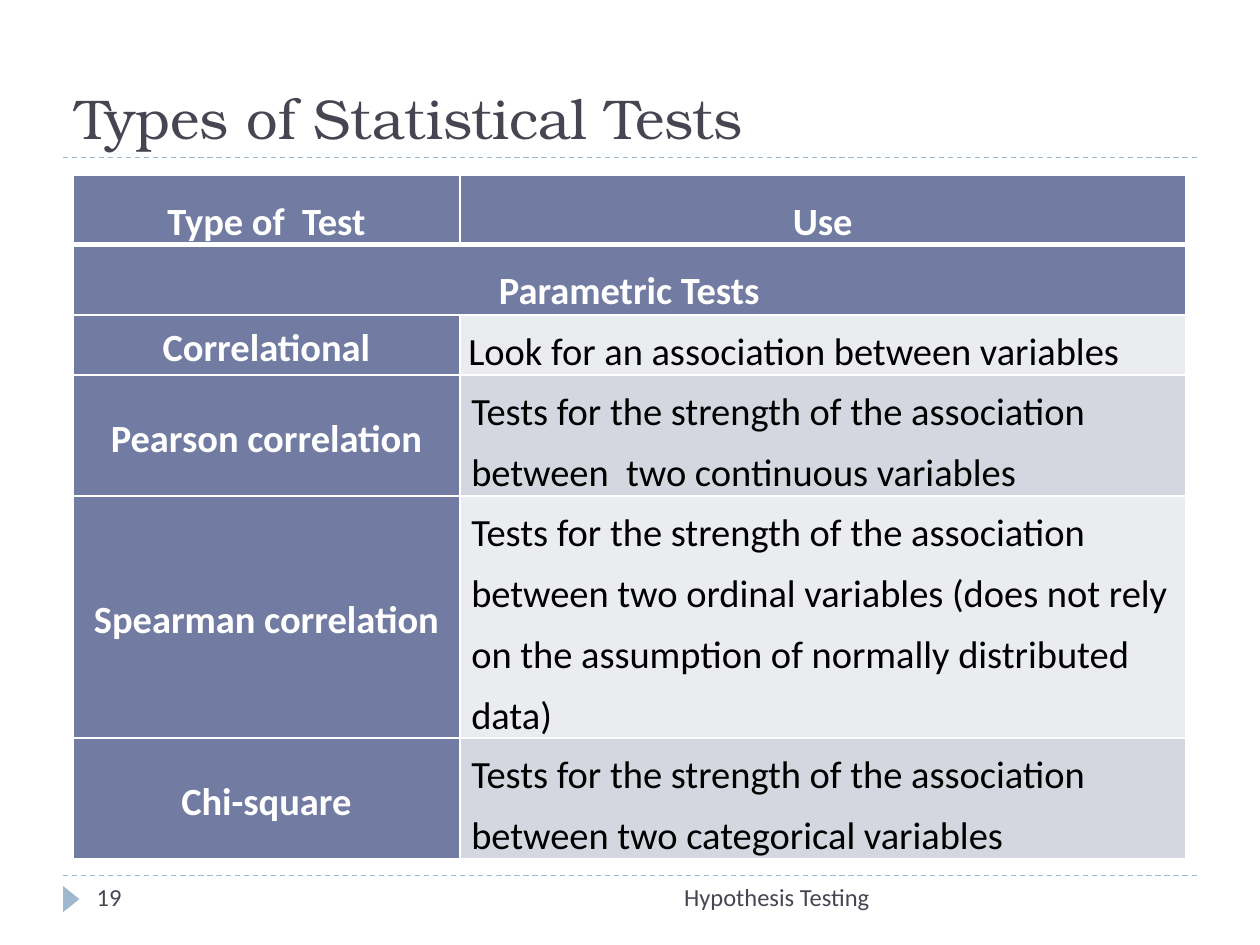
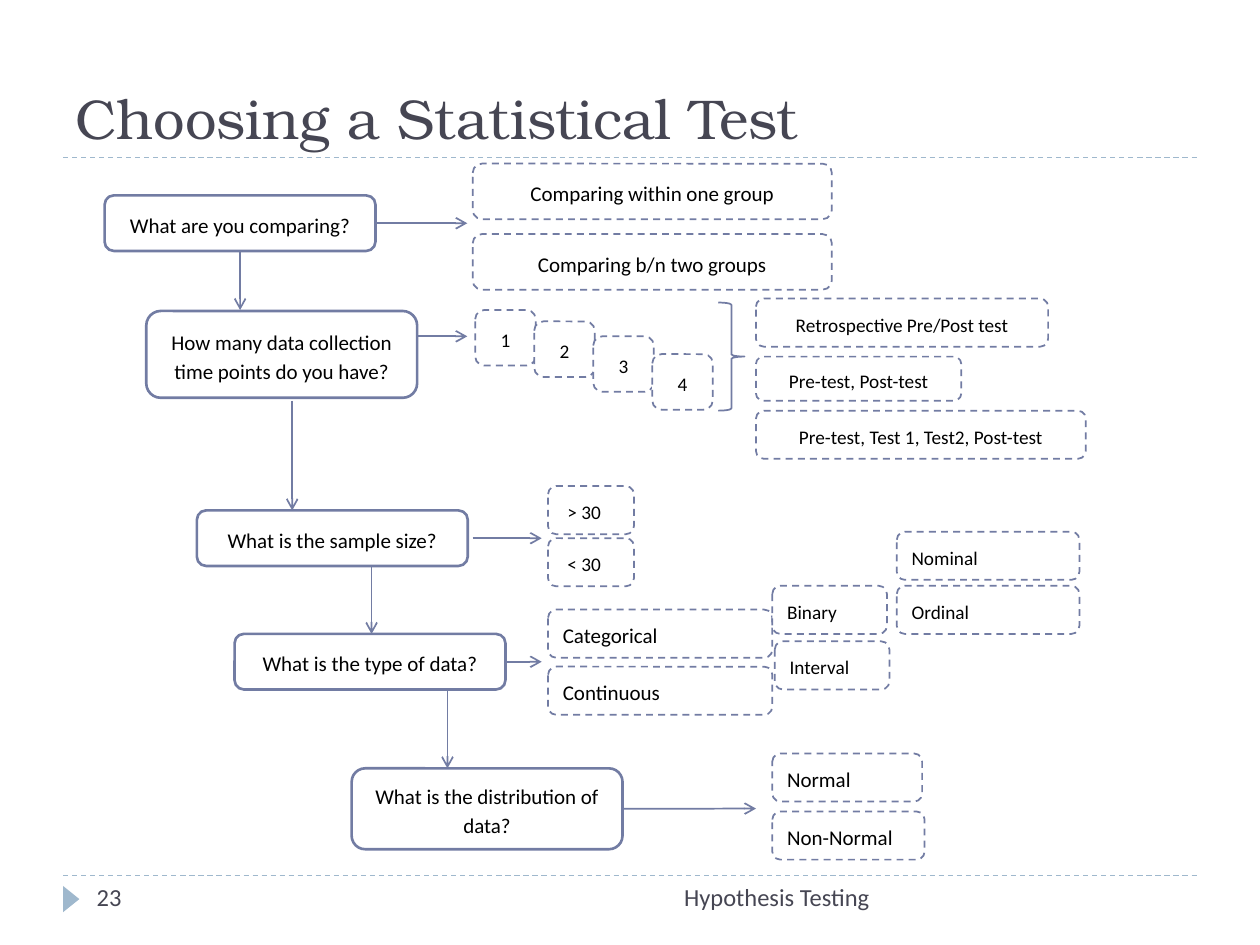
from lxml import etree
from pptx import Presentation, util as u
from pptx.dml.color import RGBColor
from pptx.enum import dml, shapes, text
from pptx.oxml.ns import qn

Cm, Pt = u.Cm, u.Pt
INK, RULE, MAIN = "464653", "9FB8CD", "727CA3"
WHITE, BLACK = "FFFFFF", "000000"
PALE, MID = "EBECF0", "D5D7E0"
BODY, HEAD = "Calibri", "TeX Gyre Bonum"
ALIGN, ANCHOR = text.PP_ALIGN, text.MSO_ANCHOR
KIND = shapes.MSO_SHAPE
BOTTOM, RIGHT = 2, 3


def rgb(value):
    return RGBColor.from_string(value)


def style(frame, size, color, font=BODY, bold=False, align=ALIGN.LEFT,
          space=None, after=None):
    """Format the only paragraph of a text frame."""
    para = frame.paragraphs[0]
    para.alignment = align
    if space:
        para.line_spacing = space
    if after:
        para.space_after = Pt(after)
    for run in para.runs:
        run.font.size, run.font.name, run.font.bold = Pt(size), font, bold
        run.font.color.rgb = rgb(color)


def stroke(line, color, width, dash=False):
    line.color.rgb = rgb(color)
    line.width = Pt(width)
    if dash:
        line.dash_style = dml.MSO_LINE.DASH


def add_line(slide, x1, y1, x2, y2, color, width, dash=False, arrow=False):
    line = slide.shapes.add_connector(
        shapes.MSO_CONNECTOR.STRAIGHT, Cm(x1), Cm(y1), Cm(x2), Cm(y2))
    stroke(line.line, color, width, dash)
    props = line._element.spPr
    if arrow:
        etree.SubElement(props.find(qn("a:ln")), qn("a:tailEnd"), type="arrow")
    etree.SubElement(props, qn("a:effectLst"))
    return line


def add_shape(slide, kind, x, y, w, h, fill=None):
    shape = slide.shapes.add_shape(kind, Cm(x), Cm(y), Cm(w), Cm(h))
    shape.shadow.inherit = False
    if fill:
        shape.fill.solid()
        shape.fill.fore_color.rgb = rgb(fill)
    else:
        shape.fill.background()
    return shape


def add_label(slide, x, y, w, h, words, size, font=BODY,
              anchor=ANCHOR.TOP, align=ALIGN.LEFT):
    frame = slide.shapes.add_textbox(Cm(x), Cm(y), Cm(w), Cm(h)).text_frame
    frame.word_wrap = True
    frame.vertical_anchor = anchor
    frame.text = words
    style(frame, size, INK, font, align=align)


def add_page(deck, title, number):
    """Add a slide with the shared rules, title and footer."""
    slide = deck.slides.add_slide(deck.slide_layouts[6])
    for y in (17.65, 3.17):
        add_line(slide, 1.27, y, 24.13, y, RULE, 0.75, dash=True)
    mark = add_shape(slide, KIND.ISOSCELES_TRIANGLE,
                     1.17, 17.96, 0.53, 0.33, RULE)
    mark.rotation = 90
    mark.line.fill.background()
    add_label(slide, 1.27, 0.43, 22.86, 2.74, title, 32, HEAD, ANCHOR.BOTTOM)
    add_label(slide, 8.05, 17.65, 9.73, 1.02, "Hypothesis Testing", 14,
              align=ALIGN.RIGHT)
    add_label(slide, 1.7, 17.65, 5.51, 1.02, str(number), 14)
    return slide


def edge_cell(cell, bottom):
    """Give a cell white borders, with its own bottom width in points."""
    props = cell._tc.get_or_add_tcPr()
    widths = {"a:lnL": 1, "a:lnR": 1, "a:lnT": 1, "a:lnB": bottom}
    for place, (tag, width) in enumerate(widths.items()):
        line = etree.Element(qn(tag), w=str(Pt(width)))
        fill = etree.SubElement(line, qn("a:solidFill"))
        etree.SubElement(fill, qn("a:srgbClr"), val=WHITE)
        props.insert(place, line)


def fill_cell(cell, words, fill, head=True, space=1.5, pad=0, bottom=1,
              anchor=ANCHOR.MIDDLE):
    cell.text = words
    cell.margin_left = Cm(pad)
    cell.margin_right = cell.margin_top = cell.margin_bottom = 0
    cell.vertical_anchor = anchor
    cell.fill.solid()
    cell.fill.fore_color.rgb = rgb(fill)
    if head:
        style(cell.text_frame, 22, WHITE, bold=True, align=ALIGN.CENTER,
              space=space, after=10)
    else:
        style(cell.text_frame, 22, BLACK, space=space)
    edge_cell(cell, bottom)


TESTS = [
    ("Correlational", "Look for an association between variables"),
    ("Pearson correlation", "Tests for the strength of the association "
     "between  two continuous variables"),
    ("Spearman correlation", "Tests for the strength of the association "
     "between two ordinal variables (does not rely on the assumption of "
     "normally distributed data)"),
    ("Chi-square", "Tests for the strength of the association "
     "between two categorical variables"),
]


def add_tests(slide, x, y, w):
    heights = (1.38, 1.42, 1.2, 2.44, 4.88, 2.44)
    table = slide.shapes.add_table(
        len(heights), 2, Cm(x), Cm(y), Cm(w), Cm(sum(heights))).table
    for row, height in zip(table.rows, heights):
        row.height = Cm(height)
    table.columns[0].width = Cm(7.8)
    table.columns[1].width = Cm(w - 7.8)
    for col, words in enumerate(("Type of  Test", "Use")):
        fill_cell(table.cell(0, col), words, MAIN, bottom=3)
    band = table.cell(1, 0)
    band.merge(table.cell(1, 1))
    fill_cell(band, "Parametric Tests", MAIN, anchor=ANCHOR.TOP)
    for row, (name, use) in enumerate(TESTS):
        fill_cell(table.cell(row + 2, 0), name, MAIN, space=1.15)
        fill_cell(table.cell(row + 2, 1), use, MID if row % 2 else PALE,
                  head=False, space=1.3, pad=0.23 if row else 0.17)


# left, top, height, words
ASKS = [
    (0, 0.64, 1.12, "What are you comparing?"),
    (0.84, 2.97, 1.75, "How many data collection time points do you have?"),
    (1.86, 6.99, 1.12, "What is the sample size?"),
    (2.62, 9.48, 1.12, "What is the type of data?"),
    (4.98, 12.19, 1.63, "What is the distribution of data?"),
]
# left, top, width, height, size, words
CENTRED = [
    (7.42, 0, 7.24, 1.12, 12, "Comparing within one group"),
    (7.42, 1.42, 7.24, 1.12, 12, "Comparing b/n two groups"),
    (13.13, 2.72, 5.89, 0.97, 11, "Retrospective Pre/Post test"),
    (13.13, 3.89, 4.14, 0.89, 11, "Pre-test, Post-test"),
    (13.13, 4.98, 6.65, 0.97, 11, "Pre-test, Test 1, Test2, Post-test"),
]
# left, top, width, size, left inset, words
LISTED = [
    (8.94, 6.5, 1.73, 11, 0.34, "> 30"),
    (8.94, 7.55, 1.73, 11, 0.34, "< 30"),
    (8.94, 8.99, 4.52, 12, 0.25, "Categorical"),
    (8.94, 10.14, 4.52, 12, 0.25, "Continuous"),
    (13.46, 8.51, 2.31, 11, 0.25, "Binary"),
    (15.97, 7.42, 3.68, 11, 0.25, "Nominal"),
    (15.97, 8.51, 3.68, 11, 0.25, "Ordinal"),
    (13.46, 11.89, 3.02, 12, 0.25, "Normal"),
    (13.46, 13.06, 3.07, 12, 0.25, "Non-Normal"),
    (13.51, 9.63, 2.31, 11, 0.25, "Interval"),
]
# start and end, then the question and side to join, if any
ARROWS = [
    (2.73, 1.76, 2.73, 2.95, 0, BOTTOM),
    (3.78, 4.78, 3.78, 6.99, None, None),
    (5.38, 8.11, 5.38, 9.48, None, None),
    (6.91, 10.6, 6.91, 12.19, None, None),
    (10.44, 13, 13.13, 13, 4, RIGHT),
    (8.08, 10.04, 8.81, 10.04, 3, RIGHT),
    (7.42, 7.55, 8.81, 7.55, None, None),
    (6.32, 3.48, 7.31, 3.48, None, None),
    (5.46, 1.2, 7.31, 1.2, 0, RIGHT),
]


def add_box(slide, x, y, w, h, words, size=12, dash=True,
            align=ALIGN.CENTER, pad=0.25):
    box = add_shape(slide, KIND.ROUNDED_RECTANGLE, x, y, w, h, WHITE)
    stroke(box.line, MAIN, 1 if dash else 1.5, dash)
    frame = box.text_frame
    frame.text = words
    frame.word_wrap = True
    frame.margin_left = Cm(pad)
    frame.vertical_anchor = ANCHOR.MIDDLE
    style(frame, size, BLACK, align=align, space=1.15, after=10)
    return box


def add_flow(slide, left, top):
    asks = [add_box(slide, left + x, top + y, 5.46, h, words, dash=False)
            for x, y, h, words in ASKS]
    for x, y, w, h, size, words in CENTRED:
        add_box(slide, left + x, top + y, w, h, words, size)
    for step, y in enumerate((2.95, 3.18, 3.48, 3.84)):
        add_box(slide, left + 7.47 + 1.19 * step, top + y, 1.22, 1.12,
                str(step + 1), 11)
    brace = add_shape(slide, KIND.RIGHT_BRACE,
                      left + 12.37, top + 2.8, 0.53, 2.18)
    stroke(brace.line, MAIN, 1)
    for x, y, w, size, pad, words in LISTED:
        add_box(slide, left + x, top + y, w, 0.97, words, size,
                align=ALIGN.LEFT, pad=pad)
    for x1, y1, x2, y2, ask, side in ARROWS:
        arrow = add_line(slide, left + x1, top + y1, left + x2, top + y2,
                         MAIN, 1, arrow=True)
        if ask is not None:
            arrow.begin_connect(asks[ask], side)


def main():
    deck = Presentation()
    deck.slide_width, deck.slide_height = Cm(25.4), Cm(19.05)
    add_tests(add_page(deck, "Types of Statistical Tests", 19),
              1.47, 3.53, 22.43)
    add_flow(add_page(deck, "Choosing a Statistical Test", 23), 2.11, 3.3)
    deck.save("out.pptx")


if __name__ == "__main__":
    main()
